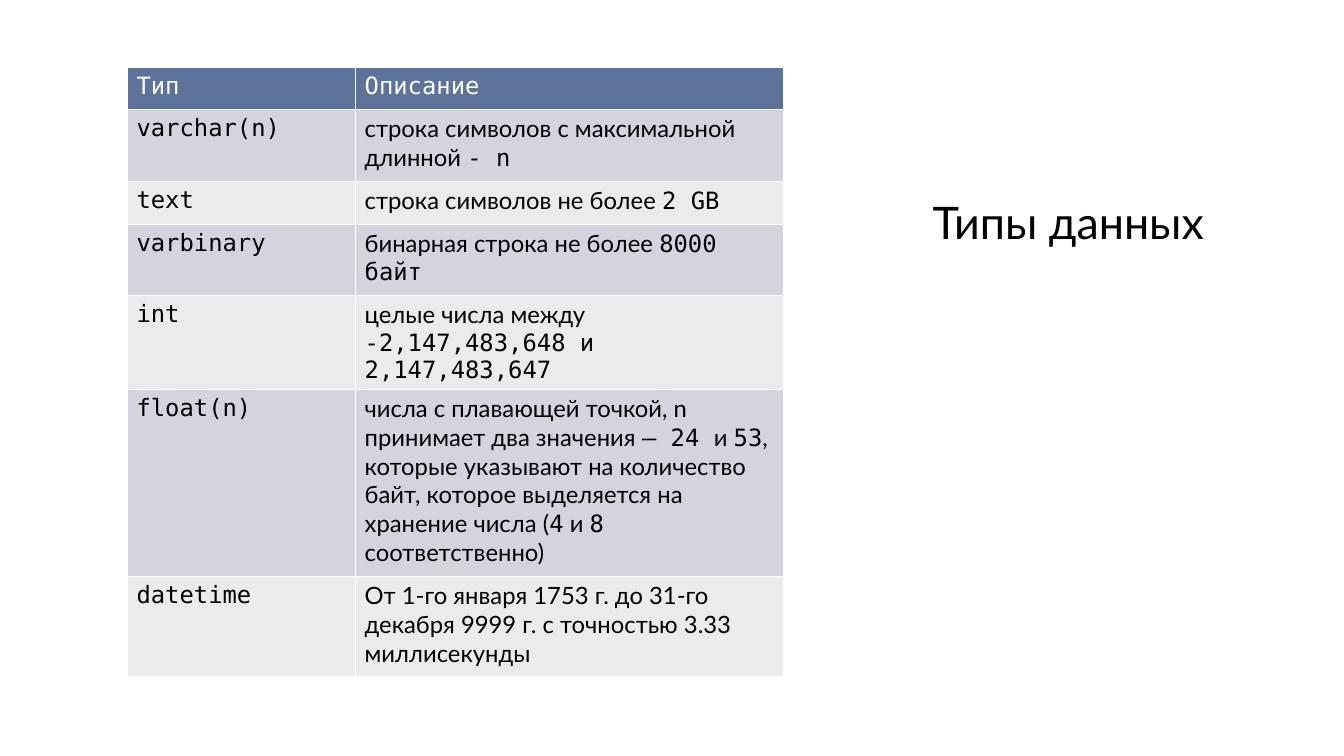
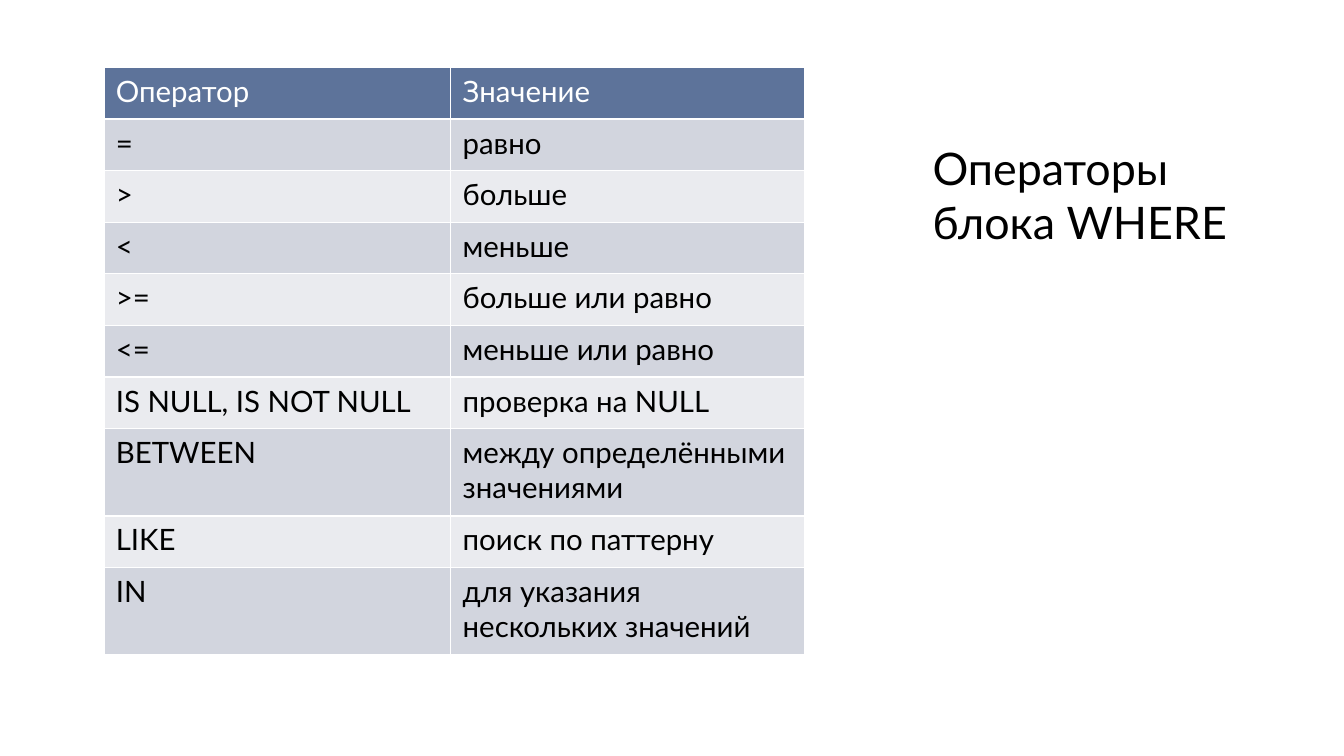
from dataclasses import dataclass

from lxml import etree
from pptx import Presentation
from pptx.dml.color import RGBColor
from pptx.enum.text import MSO_ANCHOR, MSO_AUTO_SIZE, PP_ALIGN
from pptx.oxml.ns import qn
from pptx.util import Cm, Pt

BOTTOM = MSO_ANCHOR.BOTTOM
LEFT = PP_ALIGN.LEFT
NO_AUTOFIT = MSO_AUTO_SIZE.NONE

TITLE_ONLY = 5
TEXT_FONT = "Lato"
CODE_FONT = "DejaVu Sans Mono"
CODE_MARK = "`"  # text between two marks is set in the code font

BLACK = "000000"
WHITE = "FFFFFF"
HEADER_FILL = "5D739A"
BAND_FILLS = ("EAEBEF", "D2D5DE")  # even rows, odd rows

TABLE_TOP = 1.7
TITLE_SIZE = 32
BORDER_WIDTH = 1


@dataclass(frozen=True)
class Row:
    name: str
    meaning: str
    height: float


@dataclass(frozen=True)
class TableSlide:
    title: str
    left: float
    column_widths: tuple[float, float]
    margins: tuple[float, float]  # sides, top and bottom
    font_size: int
    rows: tuple[Row, ...]


DATA_TYPES = TableSlide(
    title="Типы данных",
    left=3.2,
    column_widths=(5.75, 10.8),
    margins=(0.24, 0.12),
    font_size=17,
    rows=(
        Row("`Тип`", "`Описание`", 1.06),
        Row("`varchar(n)`", "строка символов с максимальной длинной `- n`", 1.81),
        Row("`text`", "строка символов не более `2 GB`", 1.08),
        Row("`varbinary`", "бинарная строка не более `8000 байт`", 1.8),
        Row("`int`", "целые числа между\n`-2,147,483,648 и 2,147,483,647`", 2.36),
        Row(
            "`float(n)`",
            "числа с плавающей точкой, n принимает два значения `– 24 `и `53`, "
            "которые указывают на количество байт, которое выделяется на "
            "хранение числа (`4` и `8` соответственно)",
            4.72,
        ),
        Row(
            "`datetime`",
            "От 1-го января 1753 г. до 31-го декабря 9999 г. "
            "с точностью 3.33 миллисекунды",
            2.52,
        ),
    ),
)

ONE_LINE = 1.3
TWO_LINES = 2.2

WHERE_OPERATORS = TableSlide(
    title="Операторы блока WHERE",
    left=2.62,
    column_widths=(8.74, 8.92),
    margins=(0.3, 0.15),
    font_size=21,
    rows=(
        Row("Оператор", "Значение", ONE_LINE),
        Row("=", "равно", ONE_LINE),
        Row(">", "больше", ONE_LINE),
        Row("<", "меньше", ONE_LINE),
        Row(">=", "больше или равно", ONE_LINE),
        Row("<=", "меньше или равно", ONE_LINE),
        Row("IS NULL, IS NOT NULL", "проверка на NULL", ONE_LINE),
        Row("BETWEEN", "между определёнными значениями", TWO_LINES),
        Row("LIKE", "поиск по паттерну", ONE_LINE),
        Row("IN", "для указания нескольких значений", TWO_LINES),
    ),
)


def color(value: str) -> RGBColor:
    return RGBColor.from_string(value)


def style_paragraph(paragraph, size: int, font_color: str) -> None:
    paragraph.alignment = LEFT
    paragraph.font.size = Pt(size)
    paragraph.font.color.rgb = color(font_color)


def add_title(slide, text: str) -> None:
    title = slide.shapes.title
    title.left, title.top = Cm(23.5), Cm(1.68)
    title.width, title.height = Cm(8.8), Cm(4.57)
    frame = title.text_frame
    frame.text = text
    frame.word_wrap = True
    frame.auto_size = NO_AUTOFIT
    frame.vertical_anchor = BOTTOM
    frame.margin_left = frame.margin_right = 0
    frame.margin_top = frame.margin_bottom = 0
    paragraph = frame.paragraphs[0]
    style_paragraph(paragraph, TITLE_SIZE, BLACK)
    paragraph.font.name = TEXT_FONT


def add_borders(cell) -> None:
    properties = cell._tc.get_or_add_tcPr()
    for side in ("a:lnL", "a:lnR", "a:lnT", "a:lnB"):
        line = etree.SubElement(properties, qn(side), w=str(Pt(BORDER_WIDTH)))
        fill = etree.SubElement(line, qn("a:solidFill"))
        etree.SubElement(fill, qn("a:srgbClr"), val=WHITE)


def write_marked_text(paragraph, text: str) -> None:
    pieces = [
        (piece, CODE_FONT if index % 2 else TEXT_FONT)
        for index, piece in enumerate(text.split(CODE_MARK))
        if piece
    ]
    fonts = {font for _, font in pieces}
    if len(fonts) == 1:
        paragraph.font.name = fonts.pop()
    for piece, font in pieces:
        run = paragraph.add_run()
        run.text = piece
        if fonts:
            run.font.name = font


def fill_cell(cell, text: str, layout: TableSlide, fill: str, font_color: str) -> None:
    # Borders precede the fill in the cell properties
    add_borders(cell)
    cell.fill.solid()
    cell.fill.fore_color.rgb = color(fill)
    side, edge = layout.margins
    cell.margin_left = cell.margin_right = Cm(side)
    cell.margin_top = cell.margin_bottom = Cm(edge)
    frame = cell.text_frame
    for index, line in enumerate(text.split("\n")):
        paragraph = frame.add_paragraph() if index else frame.paragraphs[0]
        style_paragraph(paragraph, layout.font_size, font_color)
        write_marked_text(paragraph, line)


def add_table(slide, layout: TableSlide) -> None:
    table = slide.shapes.add_table(
        len(layout.rows),
        len(layout.column_widths),
        Cm(layout.left),
        Cm(TABLE_TOP),
        Cm(sum(layout.column_widths)),
        Cm(sum(row.height for row in layout.rows)),
    ).table
    table.first_row = table.horz_banding = False
    for column, width in zip(table.columns, layout.column_widths):
        column.width = Cm(width)
    for index, row in enumerate(layout.rows):
        table.rows[index].height = Cm(row.height)
        fill = BAND_FILLS[index % 2] if index else HEADER_FILL
        font_color = BLACK if index else WHITE
        for column_index, text in enumerate((row.name, row.meaning)):
            cell = table.cell(index, column_index)
            fill_cell(cell, text, layout, fill, font_color)


def main() -> None:
    presentation = Presentation()
    presentation.slide_width = Cm(33.87)
    presentation.slide_height = Cm(19.05)
    for layout in (DATA_TYPES, WHERE_OPERATORS):
        slide = presentation.slides.add_slide(presentation.slide_layouts[TITLE_ONLY])
        add_title(slide, layout.title)
        add_table(slide, layout)
    presentation.save("out.pptx")


if __name__ == "__main__":
    main()
